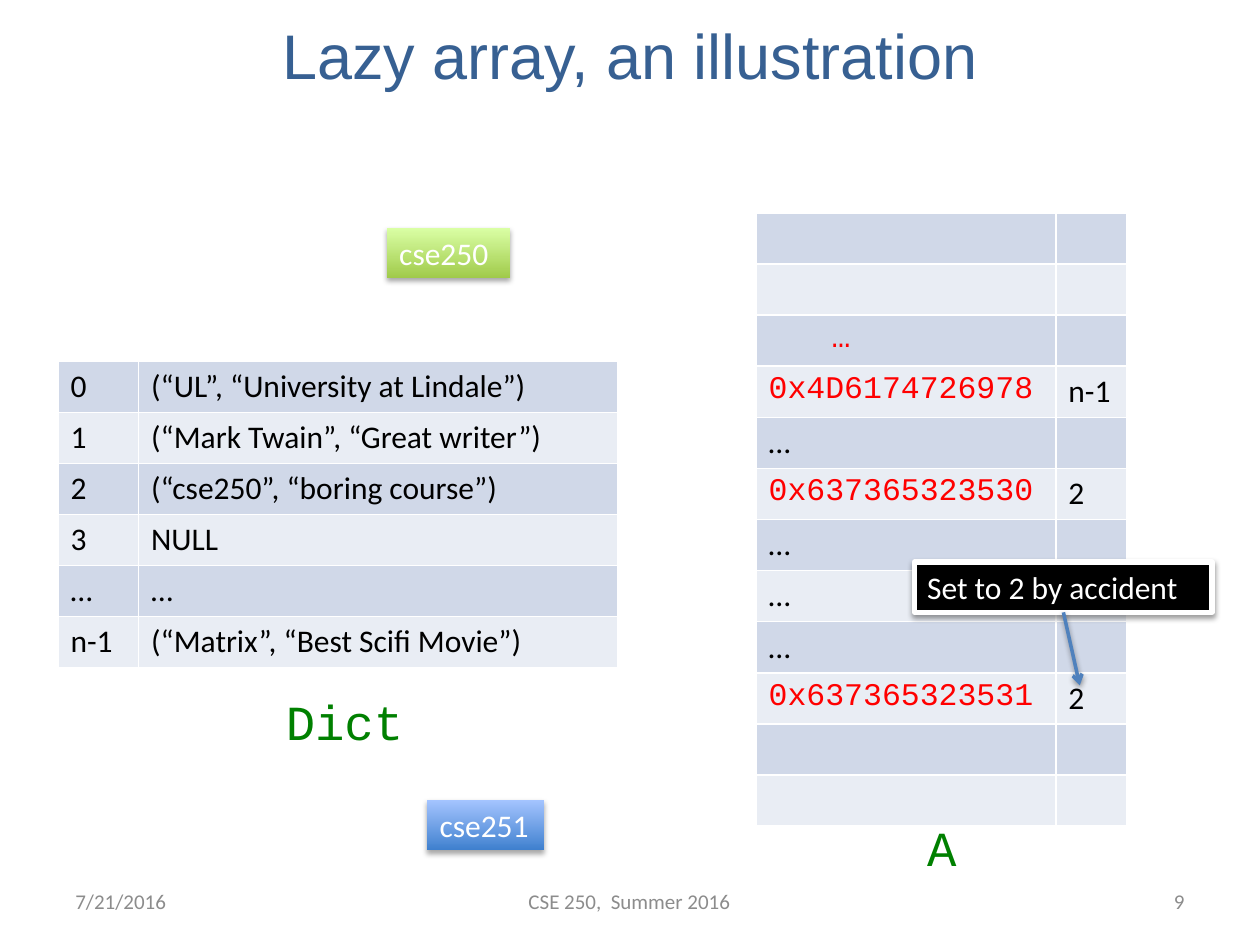
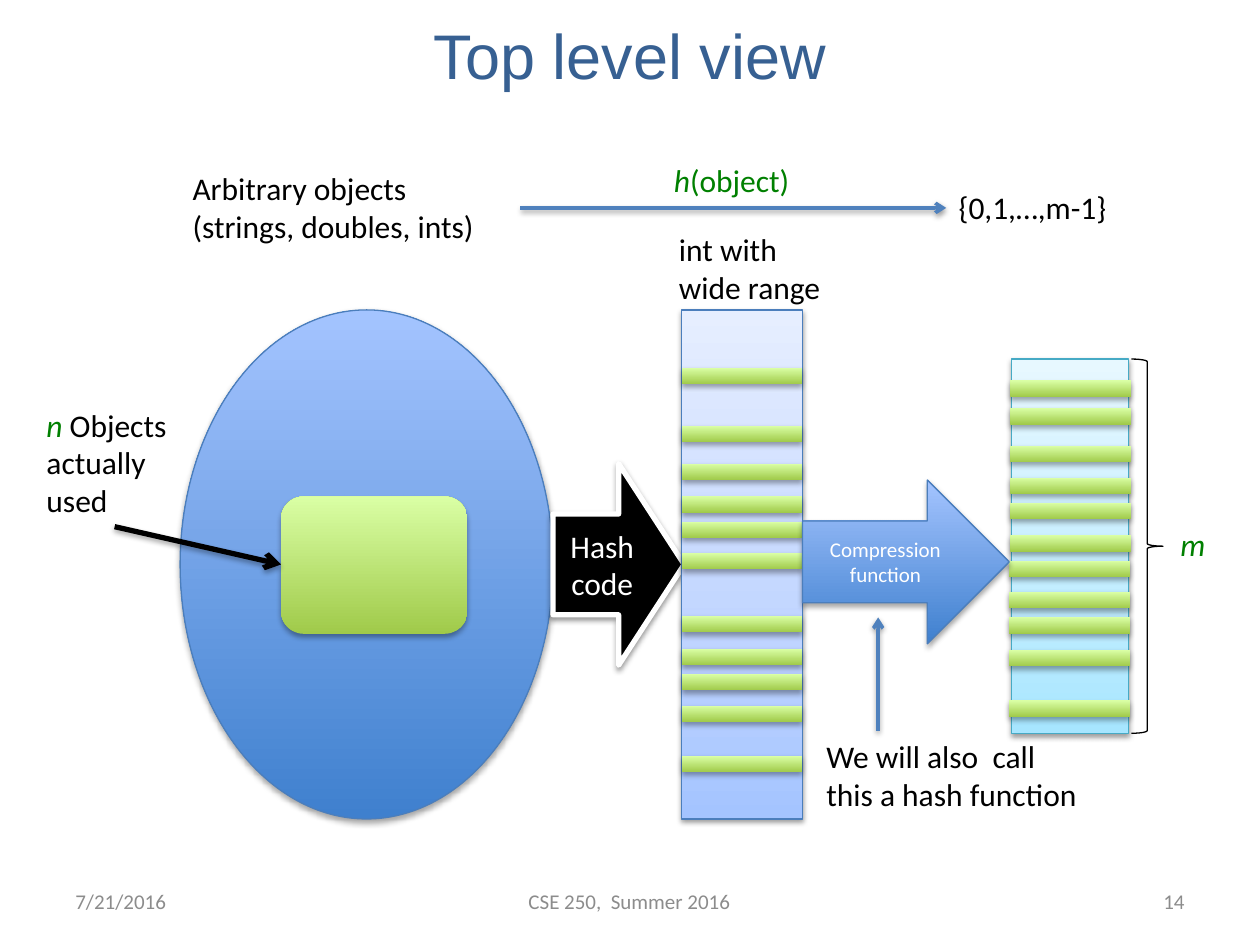
from dataclasses import dataclass
from typing import Optional

from lxml.etree import SubElement
from pptx import Presentation
from pptx.dml.color import RGBColor
from pptx.enum.shapes import MSO_CONNECTOR, MSO_SHAPE as Shape
from pptx.enum.text import MSO_ANCHOR as Anchor, PP_ALIGN as Align
from pptx.oxml.ns import qn
from pptx.util import Inches, Pt

COLORS = {
    "title": "376092", "footer": "8C8C8C", "text": "000000", "white": "FFFFFF",
    "code": "008000", "key": "FF0000", "accent": "4F81BD",
    "edge": "4B7EBC", "aqua_edge": "46AAC5",
    "band_dark": "D0D8E8", "band_light": "E9EDF4",
}
# Gradient stops, position in percent, from bottom to top
GRADIENTS = {
    "blue": [(0, "3F80CE"), (100, "A4C4FF")],
    "green": [(0, "A0CA4A"), (100, "DAFFA5")],
    "pale_blue": [(0, "A4C4FF"), (35, "BFD4FF"), (100, "E6EEFF")],
    "pale_aqua": [(0, "A7E6FF"), (35, "C1EDFF"), (100, "E7F8FF")],
}
BODY, TITLE, MONO = "Calibri", "Arial", "Courier New"


@dataclass
class Span:
    text: str
    color: str = "text"
    size: float = 18
    font: str = BODY
    italic: bool = False


@dataclass(frozen=True)
class Shadow:
    opacity: int
    distance: int


STRONG, SOFT = Shadow(35, 23000), Shadow(38, 20000)


@dataclass
class Label:
    left: float
    top: float
    width: float
    height: float
    spans: list[Span]
    align: Align = Align.LEFT
    anchor: Anchor = Anchor.TOP


@dataclass
class Panel:
    kind: Shape
    left: float
    top: float
    width: float
    height: float
    fill: Optional[str] = None
    edge: Optional[str] = None
    edge_width: float = 0.75
    shadow: Optional[Shadow] = STRONG
    spans: tuple = ()
    align: Align = Align.LEFT
    anchor: Anchor = Anchor.TOP


@dataclass
class Arrow:
    start: tuple[float, float]
    end: tuple[float, float]
    color: str = "accent"
    width: float = 2
    shadow: Shadow = SOFT


def rgb(name: str) -> RGBColor:
    return RGBColor.from_string(COLORS[name])


def write_spans(para, spans) -> None:
    for span in spans:
        for number, line in enumerate(span.text.split("\n")):
            if number:
                para.add_line_break()
            run = para.add_run()
            run.text = line
            run.font.name, run.font.size = span.font, Pt(span.size)
            run.font.italic = span.italic
            run.font.color.rgb = rgb(span.color)


def write_frame(shape, item) -> None:
    frame = shape.text_frame
    frame.word_wrap = True
    frame.vertical_anchor = item.anchor
    frame.paragraphs[0].alignment = item.align
    write_spans(frame.paragraphs[0], item.spans)


def add_effects(shape, shadow: Optional[Shadow]) -> None:
    """Close the shape properties with an own effect list."""
    effects = SubElement(shape._element.spPr, qn("a:effectLst"))
    if shadow:
        outer = SubElement(effects, qn("a:outerShdw"), blurRad="40000",
                           dist=str(shadow.distance), dir="5400000", rotWithShape="0")
        color = SubElement(outer, qn("a:srgbClr"), val=COLORS["text"])
        SubElement(color, qn("a:alpha"), val=str(shadow.opacity * 1000))


def fill_gradient(shape, name: str) -> None:
    shape.fill.gradient()
    shape.fill.gradient_angle = 90
    stops = shape._element.spPr.find(qn("a:gradFill")).find(qn("a:gsLst"))
    for stop in list(stops):
        stops.remove(stop)
    for position, color in GRADIENTS[name]:
        stop = SubElement(stops, qn("a:gs"), pos=str(position * 1000))
        SubElement(stop, qn("a:srgbClr"), val=color)


def add_label(page, label: Label) -> None:
    box = page.shapes.add_textbox(Inches(label.left), Inches(label.top),
                                  Inches(label.width), Inches(label.height))
    write_frame(box, label)


def add_panel(page, panel: Panel) -> None:
    shape = page.shapes.add_shape(panel.kind, Inches(panel.left), Inches(panel.top),
                                  Inches(panel.width), Inches(panel.height))
    if panel.fill in GRADIENTS:
        fill_gradient(shape, panel.fill)
    elif panel.fill:
        shape.fill.solid()
        shape.fill.fore_color.rgb = rgb(panel.fill)
    else:
        shape.fill.background()
    if panel.edge:
        shape.line.color.rgb = rgb(panel.edge)
        shape.line.width = Pt(panel.edge_width)
    else:
        shape.line.fill.background()
    add_effects(shape, panel.shadow)
    write_frame(shape, panel)


def add_arrow(page, arrow: Arrow) -> None:
    points = [Inches(value) for value in (*arrow.start, *arrow.end)]
    line = page.shapes.add_connector(MSO_CONNECTOR.STRAIGHT, *points)
    line.line.color.rgb = rgb(arrow.color)
    line.line.width = Pt(arrow.width)
    SubElement(line._element.spPr.find(qn("a:ln")), qn("a:tailEnd"), type="arrow")
    add_effects(line, arrow.shadow)


def border_cell(cell) -> None:
    properties = cell._tc.get_or_add_tcPr()
    for index, side in enumerate(("lnL", "lnR", "lnT", "lnB")):
        line = SubElement(properties, qn(f"a:{side}"), w="12700")
        fill = SubElement(line, qn("a:solidFill"))
        SubElement(fill, qn("a:srgbClr"), val=COLORS["white"])
        properties.insert(index, line)


def add_banded_table(page, left: float, top: float, height: float,
                     widths: list[float], rows: list[tuple[str, str]]) -> None:
    table = page.shapes.add_table(len(rows), len(widths), Inches(left), Inches(top),
                                  Inches(sum(widths)), Inches(height)).table
    table.first_row = table.horz_banding = False
    for column, width in zip(table.columns, widths):
        column.width = Inches(width)
    for number, row in enumerate(rows):
        table.rows[number].height = Inches(height / len(rows))
        for column, text in enumerate(row):
            cell = table.cell(number, column)
            cell.fill.solid()
            cell.fill.fore_color.rgb = rgb("band_light" if number % 2 else "band_dark")
            border_cell(cell)
            if text:
                is_key = text.startswith(("0x", "\t"))
                span = Span(text.strip(), "key", font=MONO) if is_key else Span(text)
                para = cell.text_frame.paragraphs[0]
                write_spans(para, [span])
                if text.startswith("\t"):  # a leading tab marks an indented key
                    para._p.get_or_add_pPr().set("marL", str(Inches(0.5)))


def add_page(deck, title: str, number: int):
    """Add a blank page with the shared title and footer."""
    page = deck.slides.add_slide(deck.slide_layouts[6])
    add_label(page, Label(0, 0.07, 10, 0.73, [Span(title, "title", 36, TITLE)],
                          Align.CENTER, Anchor.MIDDLE))
    for left, width, text, align in (
            (0.5, 2.33, "7/21/2016", Align.LEFT),
            (2.92, 4.15, "CSE 250,  Summer 2016", Align.CENTER),
            (7.17, 2.33, str(number), Align.RIGHT)):
        add_label(page, Label(left, 6.95, width, 0.4, [Span(text, "footer", 12)],
                              align, Anchor.MIDDLE))
    return page


def add_bars(page, left: float, tops: list[float]) -> None:
    for top in tops:
        add_panel(page, Panel(Shape.RECTANGLE, left, top, 0.96, 0.13, "green"))


def build_lazy_array(deck) -> None:
    page = add_page(deck, "Lazy array, an illustration", 9)

    # Dictionary and lookup array
    add_banded_table(page, 0.46, 2.87, 2.43, [0.64, 3.8], [
        ("0", "(“UL”, “University at Lindale”)"),
        ("1", "(“Mark Twain”, “Great writer”)"),
        ("2", "(“cse250”, “boring course”)"),
        ("3", "NULL"),
        ("…", "…"),
        ("n-1", "(“Matrix”, “Best Scifi Movie”)"),
    ])
    add_banded_table(page, 6, 1.69, 4.87, [2.38, 0.56], [
        ("", ""), ("", ""), ("\t…", ""), ("0x4D6174726978", "n-1"),
        ("…", ""), ("0x637365323530", "2"), ("…", ""), ("…", ""),
        ("…", ""), ("0x637365323531", "2"), ("", ""), ("", ""),
    ])
    add_label(page, Label(2.17, 5.44, 1.14, 0.57, [Span("Dict", "code", 28, MONO)]))
    add_label(page, Label(7.26, 6.44, 0.44, 0.57, [Span("A", "code", 28, MONO)]))

    # Queried keys
    for left, top, width, fill, key in ((3.07, 1.81, 0.98, "green", "cse250"),
                                        (3.39, 6.35, 0.93, "blue", "cse251")):
        add_panel(page, Panel(Shape.RECTANGLE, left, top, width, 0.4, fill,
                              spans=(Span(key, "white"),)))

    # Remark on the wrong entry
    add_panel(page, Panel(Shape.RECTANGLE, 7.26, 4.46, 2.36, 0.4, "text", "white", 3, SOFT,
                          (Span("Set to 2 by accident", "white"),)))
    add_arrow(page, Arrow((8.44, 4.86), (8.57, 5.44)))


def build_top_level(deck) -> None:
    page = add_page(deck, "Top level view", 14)

    # Universe of objects and the used subset
    add_panel(page, Panel(Shape.OVAL, 1.43, 2.46, 2.96, 4.04, "blue", "edge"))
    add_panel(page, Panel(Shape.ROUNDED_RECTANGLE, 2.23, 3.94, 1.48, 1.09, "green"))
    add_arrow(page, Arrow((0.91, 4.18), (2.23, 4.48), "text", 3, STRONG))

    # Hash code into the wide integer range
    add_panel(page, Panel(Shape.RIGHT_ARROW, 4.39, 3.68, 1.04, 1.6, "text", "white", 3, SOFT,
                          (Span("Hash code", "white"),), Align.CENTER, Anchor.MIDDLE))
    add_panel(page, Panel(Shape.RECTANGLE, 5.41, 2.46, 0.96, 4.04, "pale_blue", "edge",
                          shadow=SOFT))
    add_bars(page, 5.41, [2.92, 3.38, 3.68, 3.94, 4.14, 4.39, 4.89, 5.15, 5.35, 5.6, 6])

    # Compression into m slots
    add_panel(page, Panel(Shape.RECTANGLE, 8.03, 2.85, 0.93, 2.97, "pale_aqua", "aqua_edge",
                          shadow=SOFT))
    add_bars(page, 8.02, [3.02, 3.24, 3.54, 3.79, 3.99, 4.25])
    add_bars(page, 8.01, [4.45, 4.7, 4.9, 5.16, 5.56])
    add_panel(page, Panel(Shape.RIGHT_ARROW, 6.37, 3.81, 1.64, 1.3, "blue", "edge",
                          spans=(Span("Compression function", "white", 12),),
                          align=Align.CENTER, anchor=Anchor.MIDDLE))
    add_panel(page, Panel(Shape.RIGHT_BRACE, 8.98, 2.85, 0.25, 2.97, edge="text", shadow=None))

    # Mapping arrow and pointer to the compression step
    add_arrow(page, Arrow((4.13, 1.65), (7.51, 1.65)))
    add_arrow(page, Arrow((6.97, 5.8), (6.97, 4.9)))

    # Labels
    for label in (
            Label(1.43, 1.29, 2.7, 0.71, [Span("Arbitrary objects\n(strings, doubles, ints)")]),
            Label(0.27, 3.17, 1.29, 1.01, [Span("n", "code", italic=True),
                                           Span(" Objects \nactually \nused")]),
            Label(7.51, 1.44, 1.52, 0.4, [Span("{0,1,…,m-1}")]),
            Label(5.29, 1.78, 1.42, 0.71, [Span("int with \nwide range")]),
            Label(5.25, 1.23, 1.21, 0.4, [Span("h", "code", italic=True),
                                          Span("(object)", "code")]),
            Label(9.27, 4.12, 0.49, 0.4, [Span("m", "code", italic=True)]),
            Label(6.46, 5.8, 2.21, 0.71, [Span("We will also  call\nthis a hash function")])):
        add_label(page, label)


deck = Presentation()
deck.slide_width, deck.slide_height = Inches(10), Inches(7.5)
build_lazy_array(deck)
build_top_level(deck)
deck.save("out.pptx")
